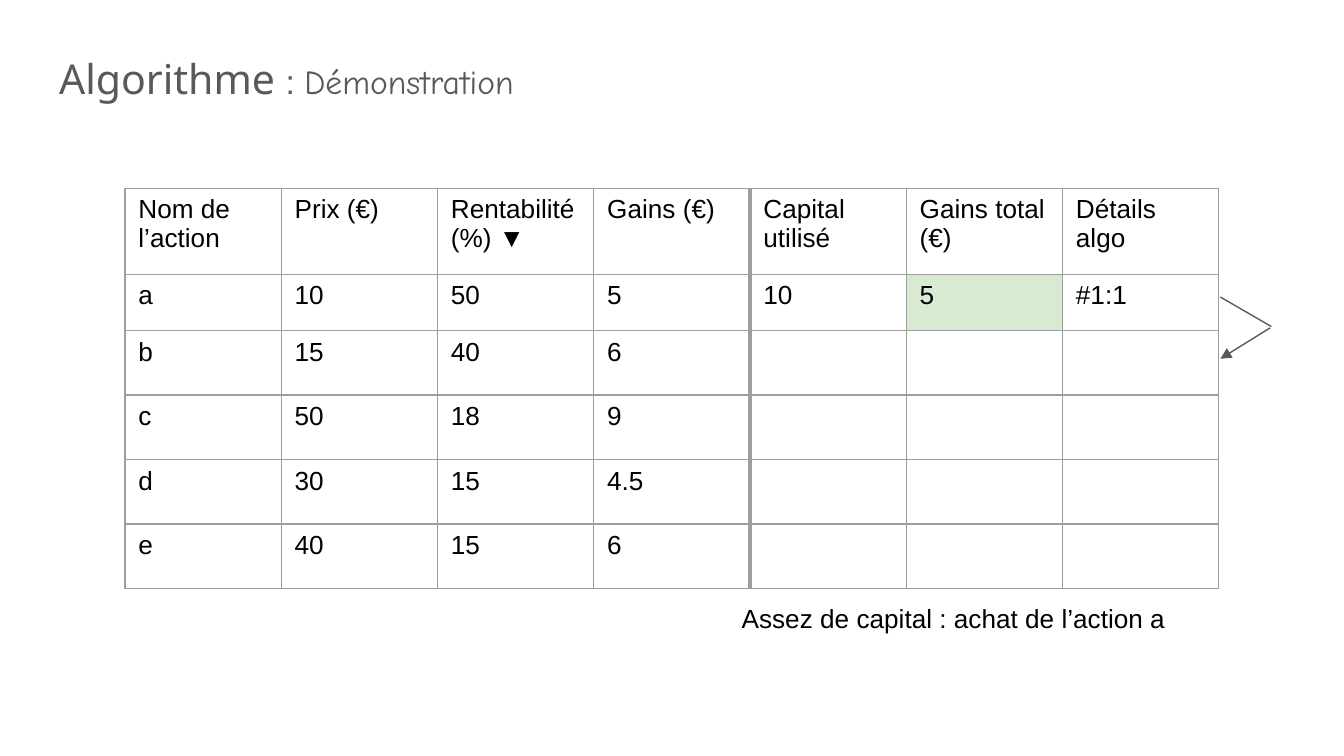
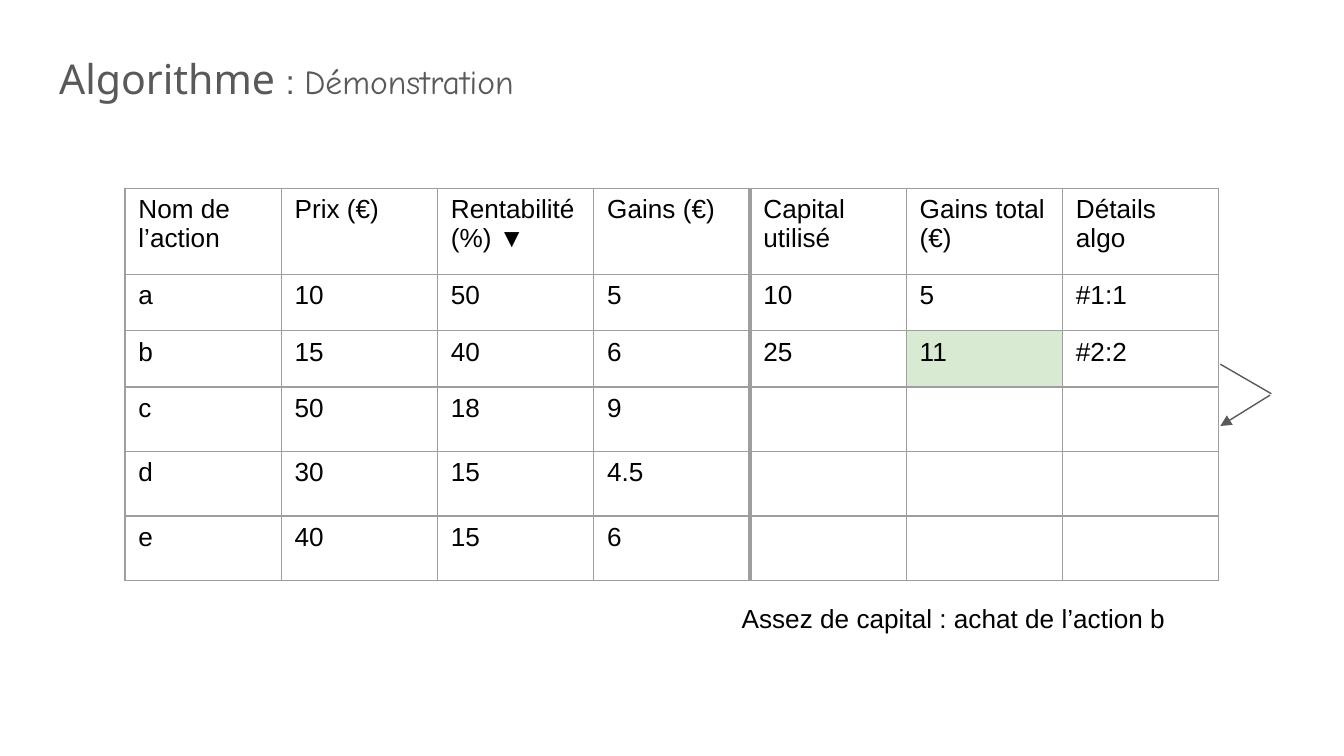
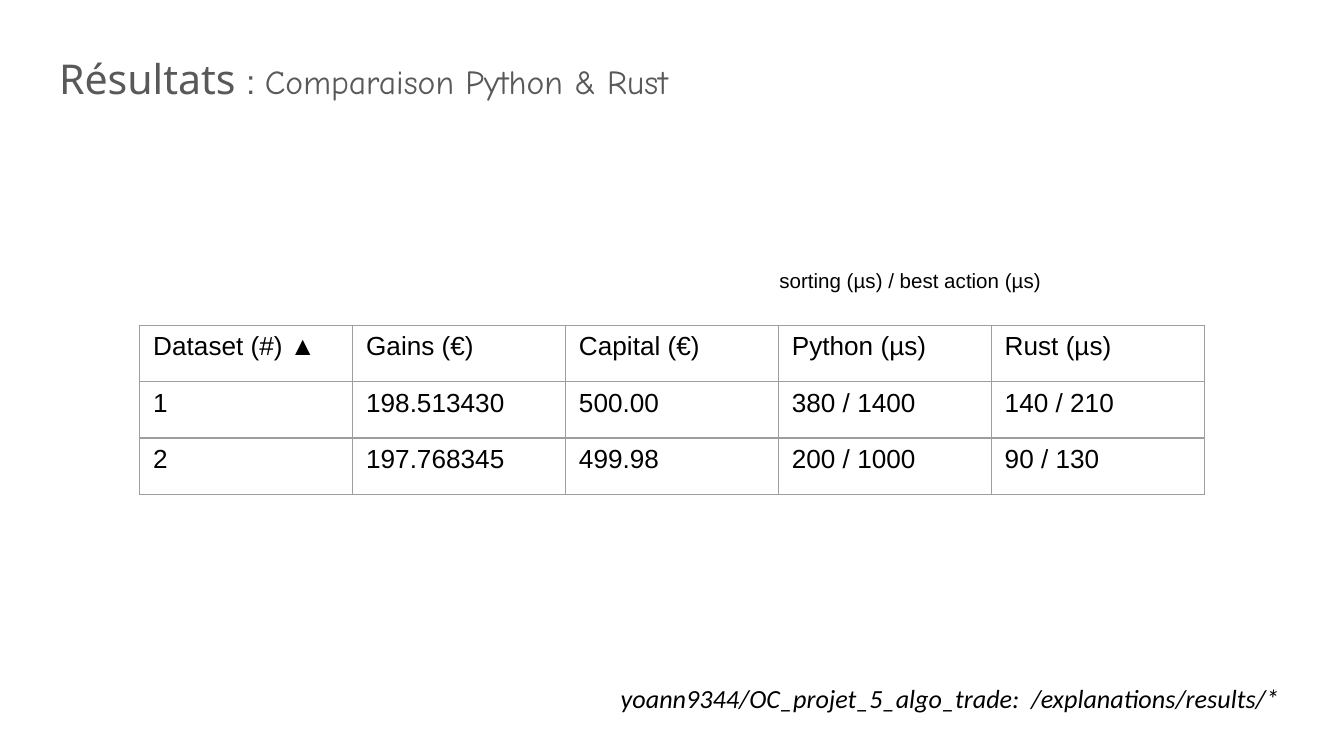
from lxml.etree import SubElement
from pptx import Presentation
from pptx.dml.color import RGBColor
from pptx.enum.shapes import MSO_CONNECTOR
from pptx.enum.text import MSO_ANCHOR as Anchor, MSO_AUTO_SIZE as AutoSize, PP_ALIGN as Align
from pptx.oxml.ns import qn
from pptx.util import Inches, Pt

INK, GREY, BORDER, GREEN = "000000", "595959", "9E9E9E", "D9EAD3"
THIN, THICK = 0.75, 2.21


def color(value):
    return RGBColor.from_string(value)


def write(para, text, font="Arial", size=14, ink=INK, italic=False):
    """Add one formatted span to a paragraph."""
    span = para.add_run()
    span.text = text
    span.font.name, span.font.size = font, Pt(size)
    span.font.color.rgb = color(ink)
    span.font.italic = italic


class Deck:
    def __init__(self):
        self.deck = Presentation()
        self.deck.slide_width, self.deck.slide_height = Inches(10), Inches(10 * 9 / 16)
        self.page = None

    def add_page(self, topic, detail):
        self.page = self.deck.slides.add_slide(self.deck.slide_layouts[5])
        box = self.page.shapes.title
        box.left, box.top = Inches(0.34), Inches(0.24)
        box.width, box.height = Inches(9.32), Inches(0.62)
        para = self.frame(box, Anchor.TOP, AutoSize.NONE)
        para.alignment = Align.LEFT
        para.line_spacing, para.space_after = 1.15, Pt(12)
        write(para, topic + " ", font="Noto Sans", size=22, ink=GREY)
        write(para, ": ", size=18, ink=GREY)
        write(para, detail, font="Comic Neue", size=18, ink=GREY)

    def frame(self, box, anchor, fit):
        """Set insets and wrapping, and return the first paragraph."""
        frame = box.text_frame
        frame.margin_left = frame.margin_right = Inches(0.1)
        frame.margin_top = frame.margin_bottom = Inches(0.1)
        frame.word_wrap, frame.auto_size = True, fit
        frame.vertical_anchor = anchor
        return frame.paragraphs[0]

    def label(self, text, left, top, width, height, **style):
        box = self.page.shapes.add_textbox(
            Inches(left), Inches(top), Inches(width), Inches(height))
        write(self.frame(box, Anchor.TOP, AutoSize.SHAPE_TO_FIT_TEXT), text, **style)

    def table(self, rows, left, top, width, heights, divider=None, marked=None):
        """Draw a grid; a thick line precedes column divider, marked is green."""
        columns = len(rows[0])
        grid = self.page.shapes.add_table(
            len(rows), columns, Inches(left), Inches(top),
            Inches(width), Inches(sum(heights))).table
        grid.first_row = grid.horz_banding = False
        for column in grid.columns:
            column.width = Inches(width / columns)
        for r, (values, height) in enumerate(zip(rows, heights)):
            grid.rows[r].height = Inches(height)
            for c in range(columns):
                cell = grid.cell(r, c)
                cell.margin_left = cell.margin_right = Inches(0.1)
                cell.margin_top = cell.margin_bottom = Inches(0.05)
                self.cell_borders(cell, left=THICK if c == divider else THIN,
                                  right=THICK if c + 1 == divider else THIN)
                if (r, c) == marked:
                    cell.fill.solid()
                    cell.fill.fore_color.rgb = color(GREEN)
                else:
                    cell.fill.background()
                if c < len(values):
                    write(cell.text_frame.paragraphs[0], values[c])

    def cell_borders(self, cell, left, right):
        properties = cell._tc.get_or_add_tcPr()
        for side, width in (("L", left), ("R", right), ("T", THIN), ("B", THIN)):
            line = SubElement(properties, qn(f"a:ln{side}"), w=str(Pt(width)))
            fill = SubElement(line, qn("a:solidFill"))
            SubElement(fill, qn("a:srgbClr"), val=BORDER)

    def line(self, start, end, arrow=False):
        x1, y1, x2, y2 = (Inches(value) for value in (*start, *end))
        line = self.page.shapes.add_connector(MSO_CONNECTOR.STRAIGHT, x1, y1, x2, y2)
        line.line.color.rgb, line.line.width = color(GREY), Pt(THIN)
        if arrow:
            SubElement(line.line._get_or_add_ln(), qn("a:tailEnd"), type="triangle")
        SubElement(line._element.spPr, qn("a:effectLst"))

    def next_row_arrow(self, top):
        """Draw the bent arrow from one table row to the next."""
        self.line((9.45, top + 0.23), (9.08, top + 0.46), arrow=True)
        self.line((9.08, top), (9.46, top + 0.22))


HEADER = ["Nom de l’action", "Prix (€)", "Rentabilité (%) ▼", "Gains (€)",
          "Capital utilisé", "Gains total (€)", "Détails algo"]
ACTIONS = [["a", "10", "50", "5"], ["b", "15", "40", "6"], ["c", "50", "18", "9"],
           ["d", "30", "15", "4.5"], ["e", "40", "15", "6"]]
PURCHASES = [["10", "5", "#1:1"], ["25", "11", "#2:2"]]
RESULTS = [["Dataset (#) ▲", "Gains (€)", "Capital (€)", "Python (µs)", "Rust (µs)"],
           ["1", "198.513430", "500.00", "380 / 1400", "140 / 210"],
           ["2", "197.768345", "499.98", "200 / 1000", "90 / 130"]]


def main():
    show = Deck()

    # Demonstration: one purchase more on each page
    for step, arrow_top in ((1, 2.21), (2, 2.71)):
        show.add_page("Algorithme", "Démonstration")
        bought = [action + purchase
                  for action, purchase in zip(ACTIONS, PURCHASES[:step])]
        pending = ACTIONS[step:]
        heights = [0.64] + [0.42] * len(bought) + [0.48] * len(pending)
        show.table([HEADER] + bought + pending, 0.93, 1.4, 8.14, heights,
                   divider=4, marked=(step, 5))
        name = ACTIONS[step - 1][0]
        show.label(f"Assez de capital : achat de l’action {name}",
                   5.42, 4.38, 3.84, 0.43)
        show.next_row_arrow(arrow_top)

    # Results
    show.add_page("Résultats", "Comparaison Python & Rust")
    show.table(RESULTS, 1.04, 2.42, 7.92, [0.42] * len(RESULTS))
    show.label("sorting (µs) / best action (µs)", 5.7, 1.9, 2.82, 0.38, size=11)
    show.label("yoann9344/OC_projet_5_algo_trade:  /explanations/results/*",
               4.52, 4.98, 5.12, 0.67, font="Calibri", italic=True)

    show.deck.save("out.pptx")


if __name__ == "__main__":
    main()
